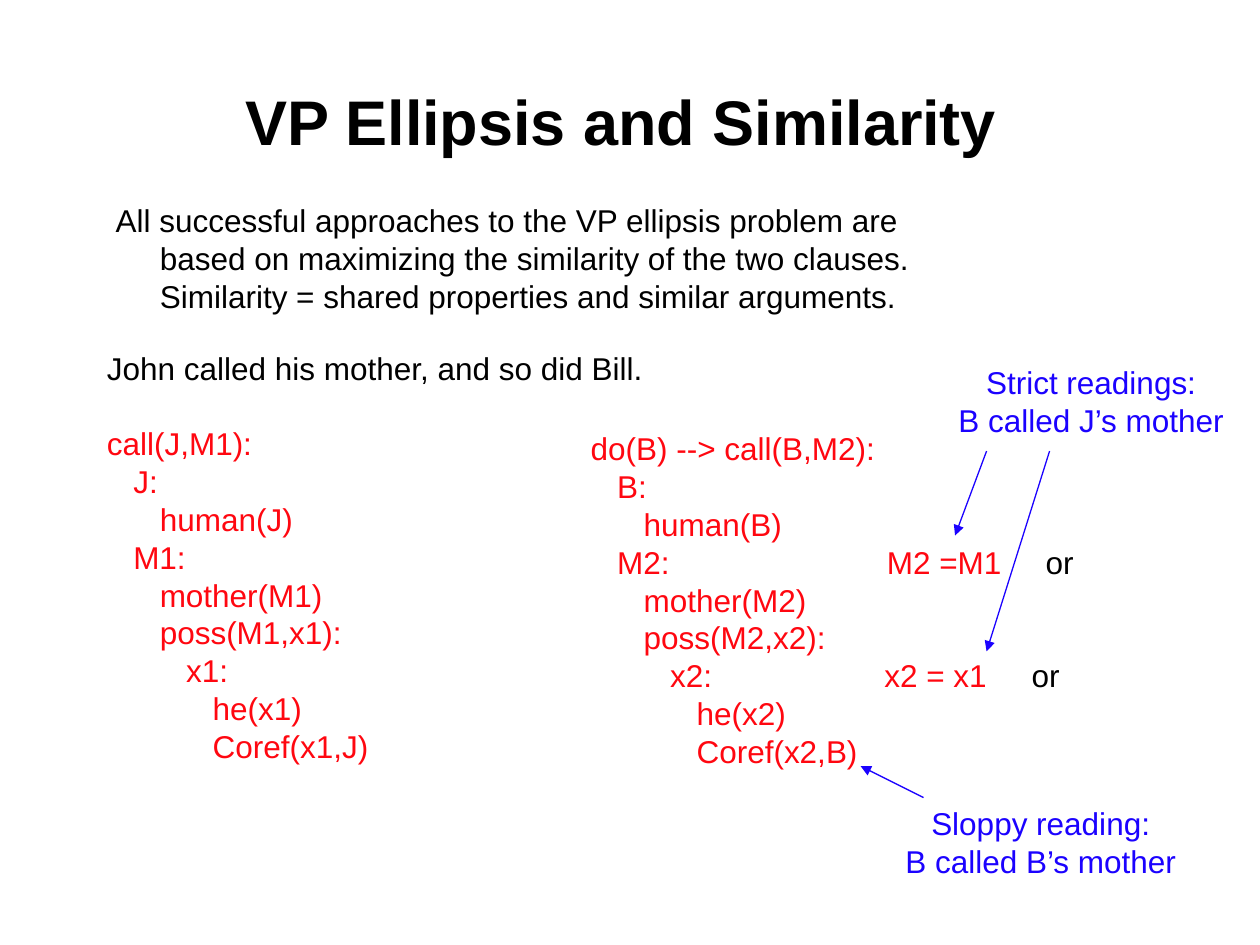
from pptx import Presentation
from pptx import util as u
from pptx.dml.color import RGBColor
from pptx.enum import shapes, text
from pptx.oxml.ns import qn
from lxml import etree

COLORS = {"black": "000000", "red": "FF0710", "blue": "1B02FF"}
ROW = 0.3  # height of one line, inches
STEP = 0.21  # indent of one nesting level, inches


class SlideBuilder:
    font = "Arial"
    body_size = u.Pt(18)
    title_size = u.Pt(36)

    def __init__(self, slide):
        self.slide = slide

    def style(self, font, color, size):
        font.name = self.font
        font.size = size
        font.color.rgb = RGBColor.from_string(COLORS[color])

    def title(self, words, left, top, width, height):
        title = self.slide.shapes.title
        title.left, title.top = u.Inches(left), u.Inches(top)
        title.width, title.height = u.Inches(width), u.Inches(height)
        frame = title.text_frame
        frame.text = words
        frame.auto_size = text.MSO_AUTO_SIZE.NONE
        frame.vertical_anchor = text.MSO_ANCHOR.MIDDLE
        heading = frame.paragraphs[0]
        heading.alignment = text.PP_ALIGN.CENTER
        self.style(heading.font, "black", self.title_size)
        heading.font.bold = True

    def lines(self, rows, left, top, width, height, color="black",
              align=text.PP_ALIGN.LEFT):
        """Write rows of (indent in inches, words); return the paragraphs."""
        box = self.slide.shapes.add_textbox(
            u.Inches(left), u.Inches(top), u.Inches(width), u.Inches(height))
        frame = box.text_frame
        frame.word_wrap = True
        paragraphs = []
        for number, (indent, words) in enumerate(rows):
            line = frame.add_paragraph() if number else frame.paragraphs[0]
            line.text = words
            line.alignment = align
            line.line_spacing = u.Inches(ROW)
            line._p.get_or_add_pPr().set("indent", str(u.Inches(indent)))
            self.style(line.font, color, self.body_size)
            paragraphs.append(line)
        return paragraphs

    def arrow(self, start, end):
        line = self.slide.shapes.add_connector(
            shapes.MSO_CONNECTOR.STRAIGHT,
            *(u.Inches(value) for value in (*start, *end)))
        line.line.color.rgb = RGBColor.from_string(COLORS["blue"])
        line.line.width = u.Pt(0.75)
        etree.SubElement(line.line._get_or_add_ln(), qn("a:tailEnd"), type="triangle")
        etree.SubElement(line._element.spPr, qn("a:effectLst"))


def clause(event, subject, mother, owner):
    """The nested properties of one clause."""
    rows = [
        (0, event), (1, f"{subject}:"), (2, f"human({subject})"),
        (1, f"{mother}:"), (2, f"mother({mother})"), (2, f"poss({mother},{owner}):"),
        (3, f"{owner}:"), (4, f"he({owner})"), (4, f"Coref({owner},{subject})")]
    return [(level * STEP, words) for level, words in rows]


def main():
    deck = Presentation()
    deck.slide_width, deck.slide_height = u.Inches(10), u.Inches(7.5)
    builder = SlideBuilder(deck.slides.add_slide(deck.slide_layouts[5]))

    # Title and introduction
    builder.title("VP Ellipsis and Similarity", 0.68, 0.33, 8.5, 1.25)
    builder.lines([
        (0, "All successful approaches to the VP ellipsis problem are"),
        (0.35, "based on maximizing the similarity of the two clauses."),
        (0.35, "Similarity = shared properties and similar arguments."),
    ], 0.82, 1.55, 6.55, 1)

    # Example sentence and its first clause
    example, *first = builder.lines(
        [(0, "John called his mother, and so did Bill."),
         *clause("call(J,M1):", "J", "M1", "x1")], 0.75, 2.72, 4.5, 3.4, "red")
    builder.style(example.font, "black", builder.body_size)
    first[0].space_before = u.Inches(ROW)

    # Second clause
    clause_top = 3.36
    builder.lines(clause("do(B) --> call(B,M2):", "B", "M2", "x2"),
                  4.59, clause_top, 2.5, 2.8, "red")

    # Possible identities, level with their rows of the second clause
    for row, identity, identity_left, or_left in (
            (3, "M2 =M1", 6.94, 8.2), (6, "x2 = x1", 6.92, 8.09)):
        top = clause_top + row * ROW
        builder.lines([(0, identity)], identity_left, top, 1.15, 0.4, "red")
        builder.lines([(0, "or")], or_left, top, 0.5, 0.4)

    # Readings
    for name, meaning, left, top in (
            ("Strict readings:", "B called J’s mother", 7.46, 2.83),
            ("Sloppy reading:", "B called B’s mother", 7.06, 6.33)):
        builder.lines([(0, name), (0, meaning)], left, top, 2.4, 0.7,
                      "blue", text.PP_ALIGN.CENTER)

    # Arrows from the readings to the clause
    for start, end in (((7.83, 3.58), (7.58, 4.25)),
                       ((8.33, 3.58), (7.83, 5.17)),
                       ((7.33, 6.33), (6.83, 6.08))):
        builder.arrow(start, end)

    deck.save("out.pptx")


if __name__ == "__main__":
    main()
